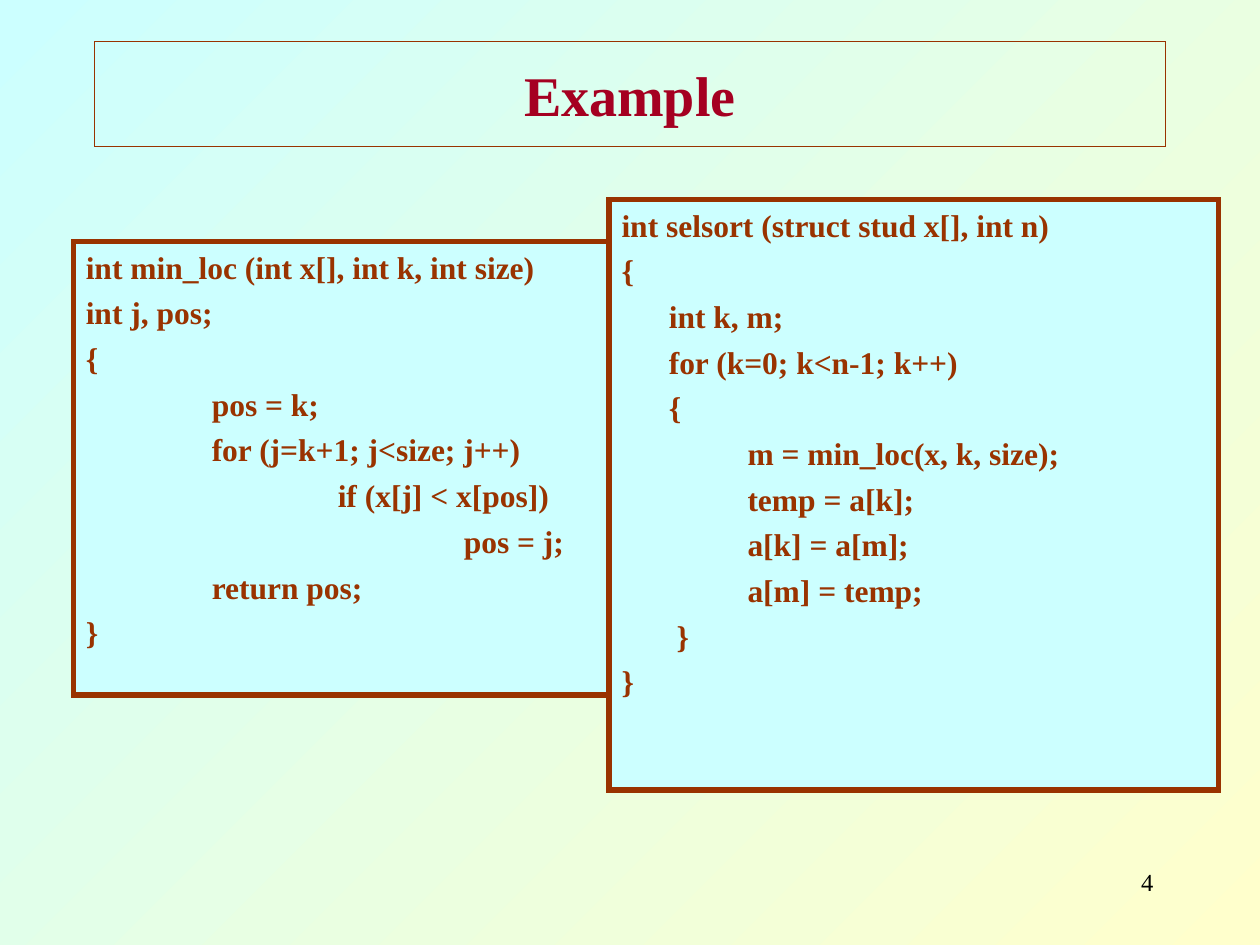
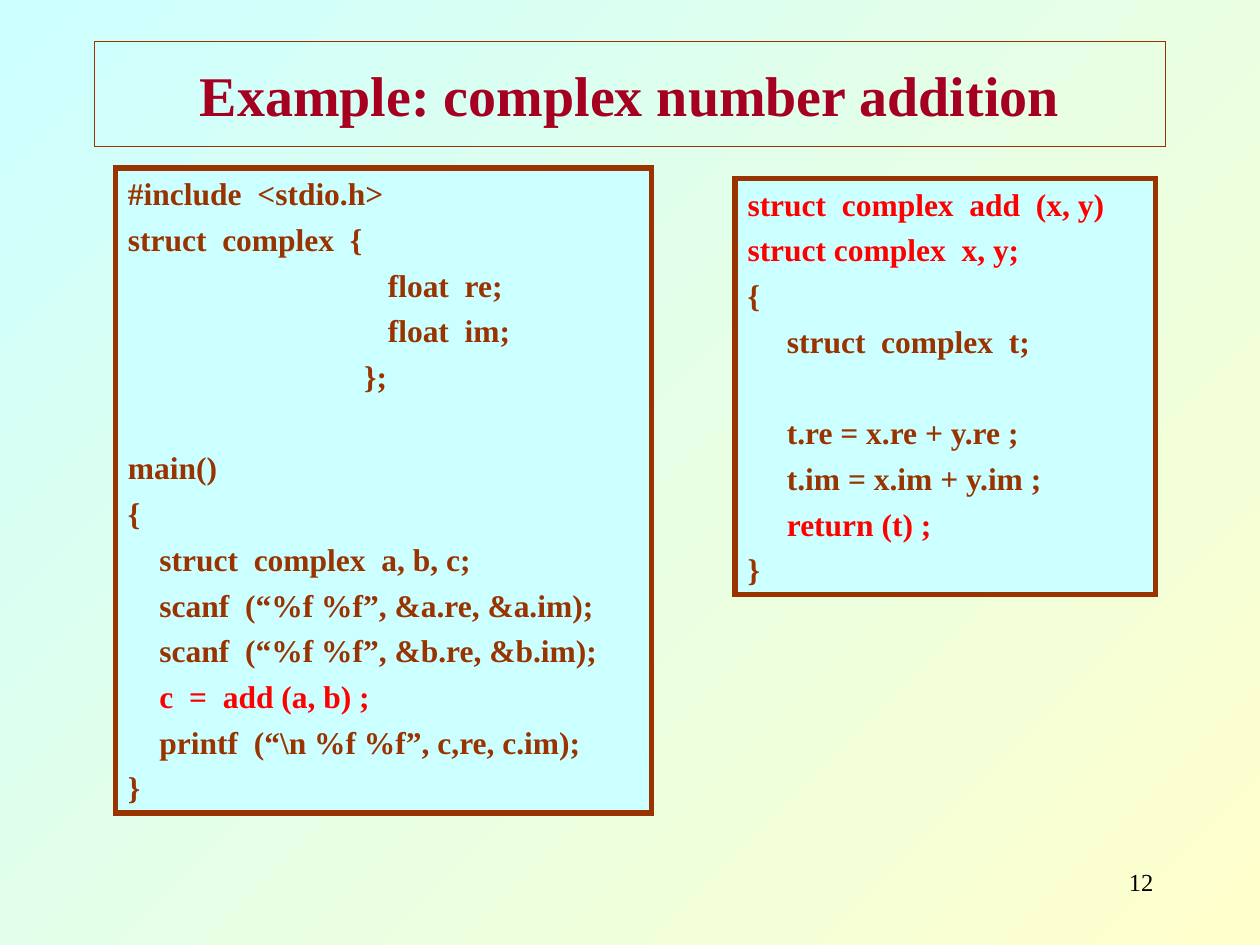
from lxml import etree
from pptx import Presentation
from pptx.dml.color import RGBColor
from pptx.enum.shapes import MSO_SHAPE
from pptx.enum.text import MSO_ANCHOR, PP_ALIGN
from pptx.oxml.ns import qn
from pptx.util import Cm, Pt

RECTANGLE = MSO_SHAPE.RECTANGLE
TOP, MIDDLE = MSO_ANCHOR.TOP, MSO_ANCHOR.MIDDLE
LEFT, CENTER, RIGHT = PP_ALIGN.LEFT, PP_ALIGN.CENTER, PP_ALIGN.RIGHT

FONT = "Times New Roman"
BROWN, CRIMSON, RED, BLACK = "993300", "A50021", "FF0000", "000000"
PALE_CYAN, PALE_YELLOW = "CCFFFF", "FFFFCC"

INDENT_STEP = Cm(2.54) // 16
LINE_GAP = 4.5
LINE_PITCH = 26.1

MIN_LOC = """
int min_loc (int x[], int k, int size)
int j, pos;
{
                pos = k;
                for (j=k+1; j<size; j++)
                                if (x[j] < x[pos])
                                                pos = j;
                return pos;
}
"""

SELSORT = """
int selsort (struct stud x[], int n)
{
      int k, m;
      for (k=0; k<n-1; k++)
      {
                m = min_loc(x, k, size);
                temp = a[k];
                a[k] = a[m];
                a[m] = temp;
       }
}
"""

COMPLEX_MAIN = r"""
#include  <stdio.h>
struct  complex  {
                                 float  re;
                                 float  im;
                              };

main()
{
    struct  complex  a, b, c;
    scanf  (“%f %f”, &a.re, &a.im);
    scanf  (“%f %f”, &b.re, &b.im);
    c  =  add (a, b) ;
    printf  (“\n %f %f”, c,re, c.im);
}
"""

COMPLEX_ADD = """
struct  complex  add  (x, y)
struct complex  x, y;
{
     struct  complex  t;

     t.re = x.re + y.re ;
     t.im = x.im + y.im ;
     return (t) ;
}
"""

HIGHLIGHTED = {
    "c  =  add (a, b) ;",
    "struct  complex  add  (x, y)",
    "struct complex  x, y;",
    "return (t) ;",
}


def rgb(value):
    return RGBColor.from_string(value)


def set_background(master):
    fill = master.background.fill
    fill.gradient()
    fill.gradient_angle = 135
    for stop, position, color in zip(fill.gradient_stops, (0, 1), (PALE_YELLOW, PALE_CYAN)):
        stop.position = position
        stop.color.rgb = rgb(color)


def add_run(paragraph, text, size, color, bold=True):
    run = paragraph.add_run()
    run.text = text
    run.font.name = FONT
    run.font.size = Pt(size)
    run.font.bold = bold
    run.font.color.rgb = rgb(color)


def add_panel(slide, box, line_width, anchor, fill=None):
    panel = slide.shapes.add_shape(RECTANGLE, *map(Cm, box))
    panel.shadow.inherit = False
    if fill:
        panel.fill.solid()
        panel.fill.fore_color.rgb = rgb(fill)
    else:
        panel.fill.background()
    panel.line.color.rgb = rgb(BROWN)
    panel.line.width = Pt(line_width)
    outline = panel.element.spPr.find(qn("a:ln"))
    etree.SubElement(outline, qn("a:miter"), lim="800000")
    frame = panel.text_frame
    frame.word_wrap = True
    frame.vertical_anchor = anchor
    return frame


def add_title(slide, title):
    frame = add_panel(slide, (1.9, 0.84, 21.6, 2.12), 0.75, MIDDLE)
    paragraph = frame.paragraphs[0]
    paragraph.alignment = CENTER
    add_run(paragraph, title, 32, CRIMSON)


def add_code(slide, box, code):
    frame = add_panel(slide, box, 3, TOP, PALE_CYAN)
    paragraph = frame.paragraphs[0]
    gap = 0
    for line in code.strip().splitlines():
        statement = line.strip()
        if not statement:
            gap += LINE_PITCH
            continue
        if paragraph.runs:
            paragraph = frame.add_paragraph()
        paragraph.alignment = LEFT
        paragraph.space_before = Pt(gap)
        indent = (len(line) - len(statement)) * INDENT_STEP
        paragraph._p.get_or_add_pPr().set("marL", str(indent))
        add_run(paragraph, statement, 18, RED if statement in HIGHLIGHTED else BROWN)
        gap = LINE_GAP


def add_page_number(slide, number):
    frame = slide.shapes.add_textbox(Cm(18.2), Cm(17.36), Cm(5.3), Cm(1.27)).text_frame
    frame.word_wrap = True
    paragraph = frame.paragraphs[0]
    paragraph.alignment = RIGHT
    add_run(paragraph, str(number), 14, BLACK, bold=False)


def add_code_slide(deck, title, number, listings):
    slide = deck.slides.add_slide(deck.slide_layouts[6])
    add_title(slide, title)
    for box, code in listings:
        add_code(slide, box, code)
    add_page_number(slide, number)


def main():
    deck = Presentation()
    deck.slide_width, deck.slide_height = Cm(25.4), Cm(19.05)
    set_background(deck.slide_master)
    add_code_slide(deck, "Example", 4, [
        ((1.48, 4.87, 10.8, 9.14), MIN_LOC),
        ((12.28, 4.02, 12.28, 11.91), SELSORT),
    ])
    add_code_slide(deck, "Example: complex number addition", 12, [
        ((2.33, 3.39, 10.8, 13), COMPLEX_MAIN),
        ((14.82, 3.6, 8.47, 8.38), COMPLEX_ADD),
    ])
    deck.save("out.pptx")


if __name__ == "__main__":
    main()
